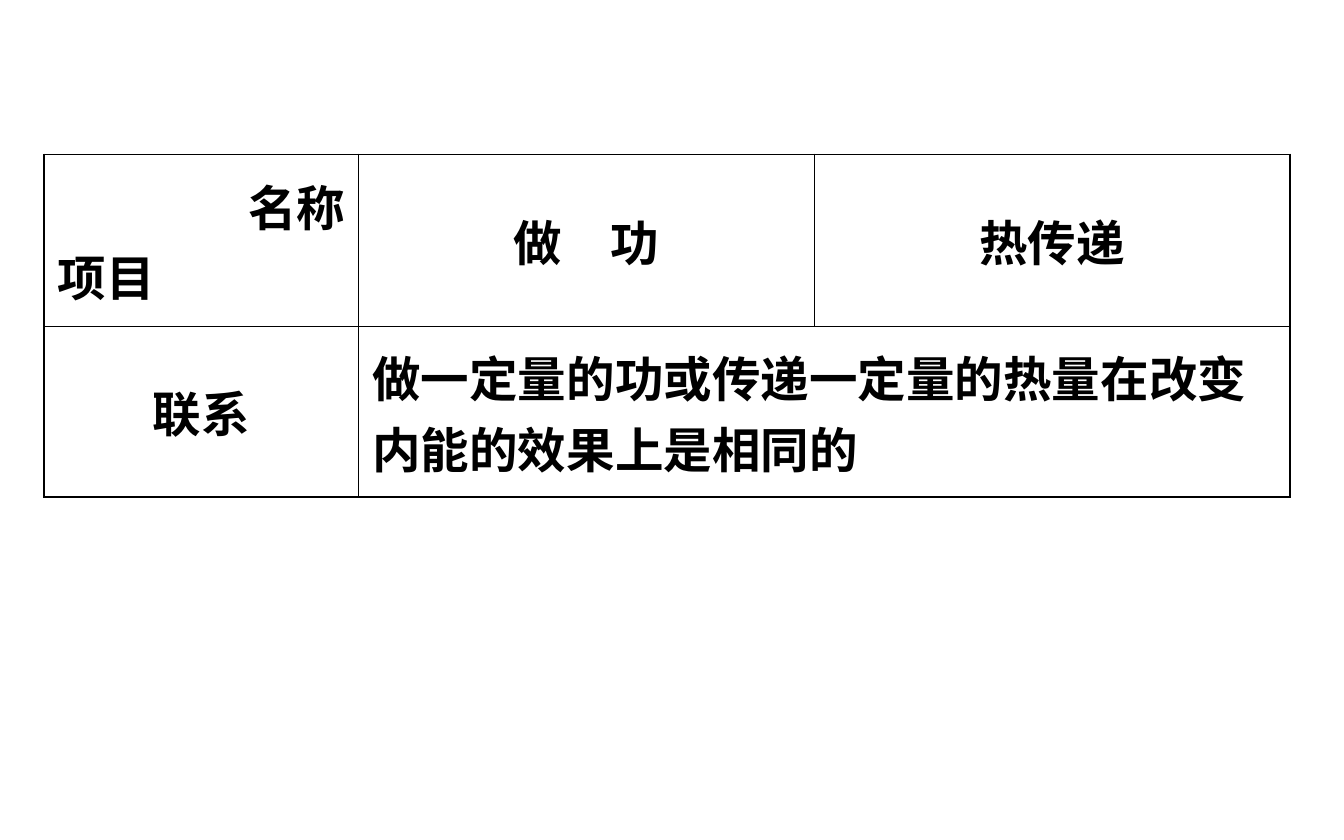
import dataclasses

import lxml.etree
import pptx
import pptx.dml.color
import pptx.enum.text
import pptx.oxml.ns
import pptx.util

ALIGN = pptx.enum.text.PP_ALIGN


@dataclasses.dataclass(frozen=True)
class Theme:
    font: str = "Noto Sans CJK SC"
    text_size: float = 26
    ink: str = "000000"
    outer_line: float = 1.08
    inner_line: float = 0.45


THEME = Theme()
SLIDE_WIDTH, SLIDE_HEIGHT = 10, 6.25
TABLE_LEFT, TABLE_TOP = 0.033, 0.184
COLUMN_SHARES = (0.234, 0.339, 0.354)
ROW_SHARES = (0.204, 0.204)

CELLS = {
    (0, 0): [("名称", ALIGN.RIGHT), ("项目", ALIGN.LEFT)],
    (0, 1): [("做　功", ALIGN.CENTER)],
    (0, 2): [("热传递", ALIGN.CENTER)],
    (1, 0): [("联系", ALIGN.CENTER)],
    (1, 1): [("做一定量的功或传递一定量的热量在改变内能的效果上是相同的", ALIGN.LEFT)],
}


def across(share):
    return pptx.util.Inches(SLIDE_WIDTH * share)


def down(share):
    return pptx.util.Inches(SLIDE_HEIGHT * share)


def add_run(paragraph, text):
    run = paragraph.add_run()
    run.text = text
    run.font.name = THEME.font
    run.font.size = pptx.util.Pt(THEME.text_size)
    run.font.bold = True
    run.font.color.rgb = pptx.dml.color.RGBColor.from_string(THEME.ink)
    east_asian = lxml.etree.SubElement(
        run.font._element, pptx.oxml.ns.qn("a:ea"))
    east_asian.set("typeface", THEME.font)


def write_cell(cell, lines):
    cell.vertical_anchor = pptx.enum.text.MSO_ANCHOR.MIDDLE
    frame = cell.text_frame
    for index, (text, alignment) in enumerate(lines):
        paragraph = frame.add_paragraph() if index else frame.paragraphs[0]
        paragraph.alignment = alignment
        add_run(paragraph, text)


def set_borders(cell, outer_sides):
    properties = cell._tc.get_or_add_tcPr()
    for position, side in enumerate("LRTB"):
        width = THEME.outer_line if side in outer_sides else THEME.inner_line
        line = lxml.etree.Element(pptx.oxml.ns.qn(f"a:ln{side}"))
        line.set("w", str(int(pptx.util.Pt(width))))
        fill = lxml.etree.SubElement(line, pptx.oxml.ns.qn("a:solidFill"))
        color = lxml.etree.SubElement(fill, pptx.oxml.ns.qn("a:srgbClr"))
        color.set("val", THEME.ink)
        properties.insert(position, line)


def outer_sides_of(row, column):
    edges = {
        "L": column == 0,
        "R": column == len(COLUMN_SHARES) - 1,
        "T": row == 0,
        "B": row == len(ROW_SHARES) - 1,
    }
    if (row, column) == (1, 1):
        edges["R"] = True
    return {side for side, is_outer in edges.items() if is_outer}


def add_comparison_table(slide):
    table = slide.shapes.add_table(
        len(ROW_SHARES), len(COLUMN_SHARES),
        across(TABLE_LEFT), down(TABLE_TOP),
        across(sum(COLUMN_SHARES)), down(sum(ROW_SHARES))).table
    table.first_row = False
    table.horz_banding = False
    for column, share in zip(table.columns, COLUMN_SHARES):
        column.width = across(share)
    for row, share in zip(table.rows, ROW_SHARES):
        row.height = down(share)
    table.cell(1, 1).merge(table.cell(1, 2))
    for row in range(len(ROW_SHARES)):
        for column in range(len(COLUMN_SHARES)):
            cell = table.cell(row, column)
            cell.fill.background()
            set_borders(cell, outer_sides_of(row, column))
            write_cell(cell, CELLS.get((row, column), []))


def main():
    presentation = pptx.Presentation()
    presentation.slide_width = across(1)
    presentation.slide_height = down(1)
    slide = presentation.slides.add_slide(presentation.slide_layouts[6])
    add_comparison_table(slide)
    presentation.save("out.pptx")


if __name__ == "__main__":
    main()
